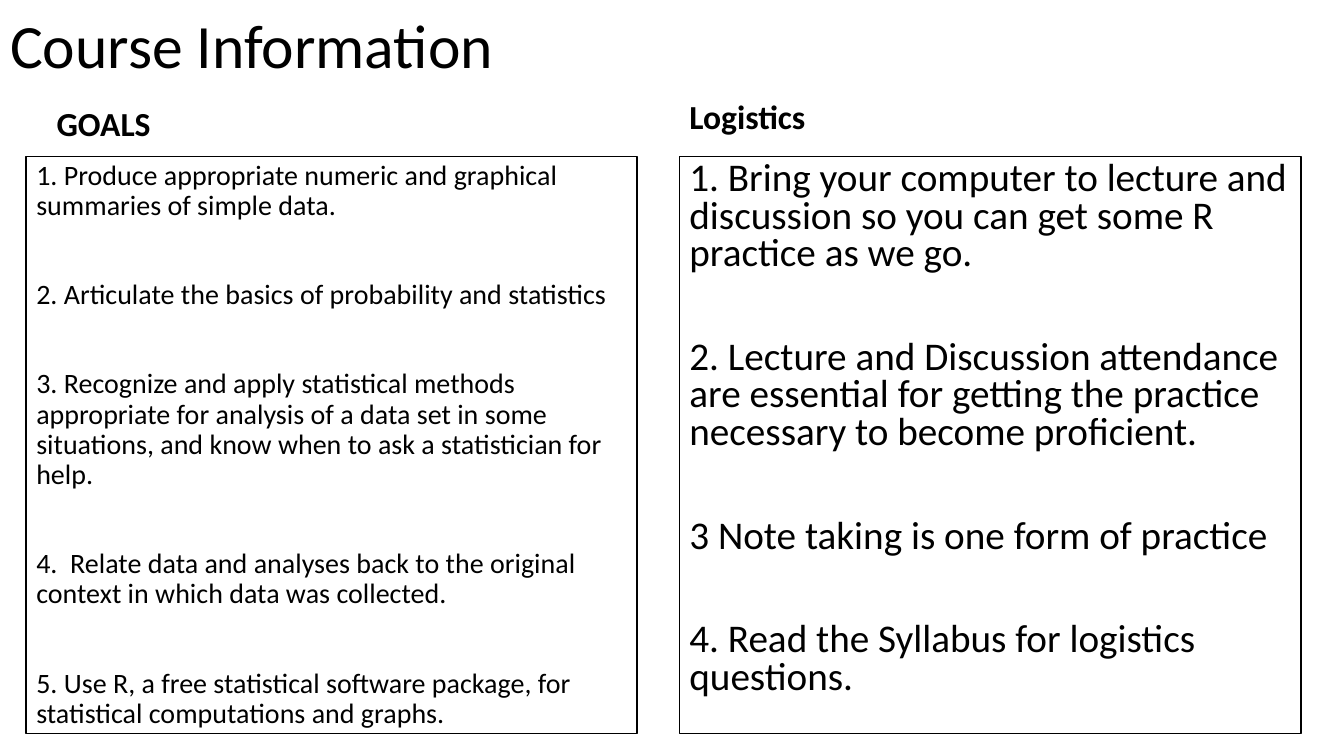
from dataclasses import dataclass

import pptx
import pptx.dml.color
import pptx.enum.text
import pptx.oxml.ns
import pptx.util
from pptx.util import Cm


@dataclass(frozen=True)
class Theme:
    font: str = "Calibri"
    ink: str = "000000"
    paper: str = "FFFFFF"
    title: int = 44
    heading: int = 24
    goals: int = 20
    logistics: int = 28


THEME = Theme()
ANCHOR = pptx.enum.text.MSO_ANCHOR

GOALS = [
    "1. Produce appropriate numeric and graphical summaries of simple data.",
    "2. Articulate the basics of probability and statistics",
    "3. Recognize and apply statistical methods appropriate for analysis of a data set "
    "in some situations, and know when to ask a statistician for help.",
    "4.  Relate data and analyses back to the original context in which data was collected.",
    "5. Use R, a free statistical software package, for statistical computations and graphs.",
]
LOGISTICS = [
    "1. Bring your computer to lecture and discussion so you can get some R practice as we go.",
    "2. Lecture and Discussion attendance are essential for getting the practice "
    "necessary to become proficient.",
    "3 Note taking is one form of practice",
    "4. Read the Syllabus for logistics questions.",
]


def color(value):
    return pptx.dml.color.RGBColor.from_string(value)


def place(box, left, top, width, height):
    box.left, box.top, box.width, box.height = Cm(left), Cm(top), Cm(width), Cm(height)


def remove_bullet(para):
    properties = para._p.get_or_add_pPr()
    properties.set("marL", "0")
    properties.set("indent", "0")
    properties.append(properties.makeelement(pptx.oxml.ns.qn("a:buNone"), {}))


def write(box, texts, size, anchor, bold=False, spacing=0.9, gap=0):
    """Fill a placeholder with one paragraph per text, gap points apart."""
    frame = box.text_frame
    frame.word_wrap = True
    frame.auto_size = pptx.enum.text.MSO_AUTO_SIZE.NONE
    frame.vertical_anchor = anchor
    for index, text in enumerate(texts):
        para = frame.add_paragraph() if index else frame.paragraphs[0]
        para.alignment = pptx.enum.text.PP_ALIGN.LEFT
        para.line_spacing = spacing
        para.space_before = pptx.util.Pt(gap if index else 0)
        para.space_after = pptx.util.Pt(0)
        remove_bullet(para)
        span = para.add_run()
        span.text = text
        span.font.name = THEME.font
        span.font.size = pptx.util.Pt(size)
        span.font.bold = bold
        span.font.color.rgb = color(THEME.ink)


def write_heading(box, text):
    write(box, [text], THEME.heading, ANCHOR.BOTTOM, bold=True)


def write_framed_list(box, texts, size, spacing, gap):
    box.fill.solid()
    box.fill.fore_color.rgb = color(THEME.paper)
    box.line.color.rgb = color(THEME.ink)
    box.line.width = pptx.util.Pt(1)
    write(box, texts, size, ANCHOR.TOP, spacing=spacing, gap=gap)


def main():
    deck = pptx.Presentation()
    deck.slide_width, deck.slide_height = Cm(33.87), Cm(19.05)
    comparison = deck.slide_layouts.get_by_name("Comparison")
    page = deck.slides.add_slide(comparison)
    title, goals_heading, goals, logistics_heading, logistics = page.placeholders

    place(title, 0, 0.1, 27.58, 2.26)
    write(title, ["Course Information"], THEME.title, ANCHOR.MIDDLE)

    place(goals_heading, 1.17, 1.68, 15.29, 2.06)
    write_heading(goals_heading, "GOALS")
    place(goals, 0.66, 3.94, 15.39, 14.55)
    write_framed_list(goals, GOALS, THEME.goals, spacing=0.9, gap=42)

    place(logistics_heading, 17.12, 1.52, 13.72, 2.06)
    write_heading(logistics_heading, "Logistics")
    place(logistics, 17.12, 3.94, 15.67, 14.55)
    write_framed_list(logistics, LOGISTICS, THEME.logistics, spacing=0.8, gap=47)

    deck.save("out.pptx")


if __name__ == "__main__":
    main()
